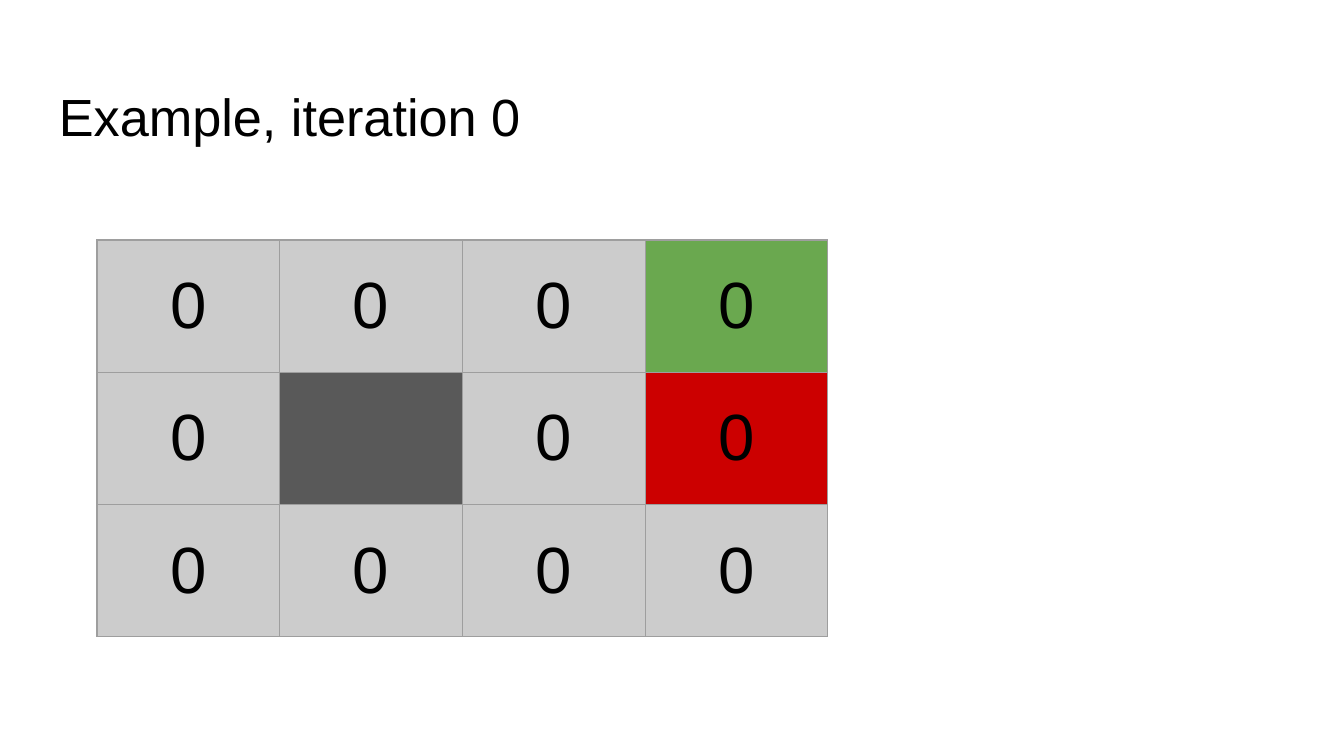
import pptx
import pptx.dml.color
import pptx.enum.text
import pptx.oxml
import pptx.oxml.ns
import pptx.util

Pt = pptx.util.Pt
RGBColor = pptx.dml.color.RGBColor

BLACK = RGBColor(0x00, 0x00, 0x00)
FREE = RGBColor(0xCC, 0xCC, 0xCC)
WALL = RGBColor(0x59, 0x59, 0x59)
GOAL = RGBColor(0x6A, 0xA8, 0x4F)
TRAP = RGBColor(0xCC, 0x00, 0x00)
GRID_LINE = RGBColor(0x9E, 0x9E, 0x9E)

INSET = Pt(7.2)
COLUMN_WIDTH = Pt(97.9)
ROW_HEIGHT = Pt(70.8)
STATE_VALUES = [
    ["0", "0", "0", "0"],
    ["0", "", "0", "0"],
    ["0", "0", "0", "0"],
]
SPECIAL_STATES = {(0, 3): GOAL, (1, 1): WALL, (1, 3): TRAP}


def apply_format(target, values):
    for name, value in values.items():
        setattr(target, name, value)


def write_text(paragraph, text, size):
    run = paragraph.add_run()
    run.text = text
    apply_format(run.font, {"name": "Arial", "size": Pt(size)})
    run.font.color.rgb = BLACK


def add_title(slide, text):
    title = slide.shapes.add_textbox(Pt(24.5), Pt(35.3), Pt(671), Pt(45.4))
    apply_format(title.text_frame, {
        "word_wrap": True,
        "vertical_anchor": pptx.enum.text.MSO_ANCHOR.TOP,
        "margin_left": INSET,
        "margin_right": INSET,
        "margin_top": Pt(10),
        "margin_bottom": INSET,
    })
    write_text(title.text_frame.paragraphs[0], text, 28)


def add_borders(cell):
    properties = cell._tc.get_or_add_tcPr()
    for side in ("lnL", "lnR", "lnT", "lnB"):
        properties.append(pptx.oxml.parse_xml(
            f'<a:{side} {pptx.oxml.ns.nsdecls("a")} w="{Pt(0.75)}">'
            f'<a:solidFill><a:srgbClr val="{GRID_LINE}"/></a:solidFill>'
            f'</a:{side}>'
        ))


def fill_state(cell, value, color):
    apply_format(cell, {
        "vertical_anchor": pptx.enum.text.MSO_ANCHOR.MIDDLE,
        "margin_left": INSET,
        "margin_right": INSET,
        "margin_top": INSET,
        "margin_bottom": INSET,
    })
    add_borders(cell)
    cell.fill.solid()
    cell.fill.fore_color.rgb = color
    if value:
        paragraph = cell.text_frame.paragraphs[0]
        paragraph.alignment = pptx.enum.text.PP_ALIGN.CENTER
        write_text(paragraph, value, 35)


def add_grid_world(slide, values):
    row_count, column_count = len(values), len(values[0])
    grid = slide.shapes.add_table(
        row_count, column_count, Pt(52), Pt(128.6),
        COLUMN_WIDTH * column_count, ROW_HEIGHT * row_count,
    ).table
    apply_format(grid, {"first_row": False, "horz_banding": False})
    for column in grid.columns:
        column.width = COLUMN_WIDTH
    for row in grid.rows:
        row.height = ROW_HEIGHT
    for row_index, row_values in enumerate(values):
        for column_index, value in enumerate(row_values):
            color = SPECIAL_STATES.get((row_index, column_index), FREE)
            fill_state(grid.cell(row_index, column_index), value, color)


def main():
    presentation = pptx.Presentation()
    apply_format(presentation, {"slide_width": Pt(720), "slide_height": Pt(405)})
    slide = presentation.slides.add_slide(presentation.slide_layouts[6])
    add_title(slide, "Example, iteration 0")
    add_grid_world(slide, STATE_VALUES)
    presentation.save("out.pptx")


if __name__ == "__main__":
    main()
